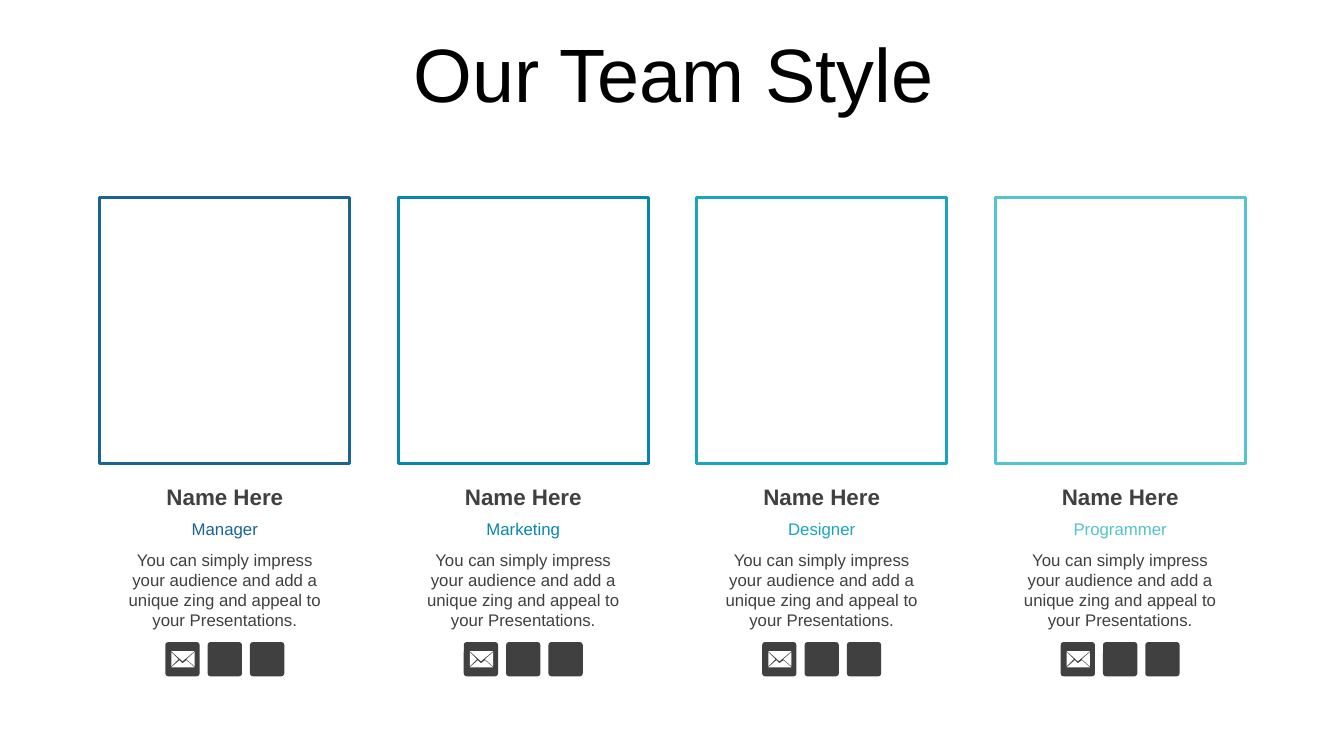
"""Build a team slide with four framed members, their roles and contact icons."""
import pptx
import pptx.util
import pptx.dml.color
import pptx.enum.shapes
import pptx.enum.text

Inches = pptx.util.Inches
Shape = pptx.enum.shapes.MSO_SHAPE
Anchor = pptx.enum.text.MSO_ANCHOR
colors = {"black": "000000", "gray": "404040", "white": "FFFFFF",
          "navy": "196491", "blue": "0587AF", "teal": "19A5BE", "aqua": "53C3CD"}
team = [("Manager", "navy"), ("Marketing", "blue"),
        ("Designer", "teal"), ("Programmer", "aqua")]
about = ("You can simply impress your audience and add a unique zing "
         "and appeal to your Presentations.")
flaps = [[(6, 25), (14, 18), (17, 21), (21, 18), (29, 25)],
         [(29, 10), (29, 24), (21, 17)],
         [(6, 10), (6, 24), (13, 17)],
         [(6, 9), (17, 19), (29, 9)]]


def rgb(name):
    return pptx.dml.color.RGBColor.from_string(colors[name])


def write(text, left, top, width, height, size=12, color="gray",
          bold=False, anchor=Anchor.MIDDLE, spacing=1.0):
    box = slide.shapes.add_textbox(Inches(left), Inches(top), Inches(width), Inches(height))
    frame = box.text_frame
    frame.word_wrap = True
    frame.vertical_anchor = anchor
    para = frame.paragraphs[0]
    para.alignment = pptx.enum.text.PP_ALIGN.CENTER
    para.line_spacing = spacing
    run = para.add_run()
    run.text = text
    run.font.name = "Arial"
    run.font.size = pptx.util.Pt(size)
    run.font.bold = bold
    run.font.color.rgb = rgb(color)


deck = pptx.Presentation()
deck.slide_width = Inches(13.33)
deck.slide_height = Inches(7.5)
slide = deck.slides.add_slide(deck.slide_layouts[6])

write("Our Team Style", 0.35, 0.31, 12.66, 0.92, size=54, color="black", spacing=0.9)

for col, (role, color) in enumerate(team):
    left = 0.99 + 2.96 * col
    photo = slide.shapes.add_shape(
        Shape.RECTANGLE, Inches(left), Inches(1.96), Inches(2.48), Inches(2.64))
    photo.shadow.inherit = False
    photo.fill.background()
    photo.line.color.rgb = rgb(color)
    photo.line.width = pptx.util.Pt(2)

    inner = left + 0.1
    write("Name Here", inner, 4.75, 2.28, 0.35, size=16, bold=True)
    write(role, inner, 5.11, 2.28, 0.28, color=color)
    write(about, inner, 5.4, 2.28, 0.91, anchor=Anchor.TOP)

    first = inner + 0.55
    for spot in range(3):
        tile = slide.shapes.add_shape(
            Shape.ROUNDED_RECTANGLE, Inches(first + 0.42 * spot), Inches(6.37),
            Inches(0.34), Inches(0.34))
        tile.adjustments[0] = 0.09
        tile.shadow.inherit = False
        tile.fill.solid()
        tile.fill.fore_color.rgb = rgb("gray")
        tile.line.fill.background()

    pen = slide.shapes.build_freeform(scale=Inches(0.01))
    for flap in flaps:
        points = [(first * 100 + x, 637 + y) for x, y in flap]
        pen.move_to(*points[0])
        pen.add_line_segments(points[1:], close=True)
    mail = pen.convert_to_shape()
    mail.shadow.inherit = False
    mail.fill.solid()
    mail.fill.fore_color.rgb = rgb("white")
    mail.line.fill.background()

deck.save("out.pptx")
